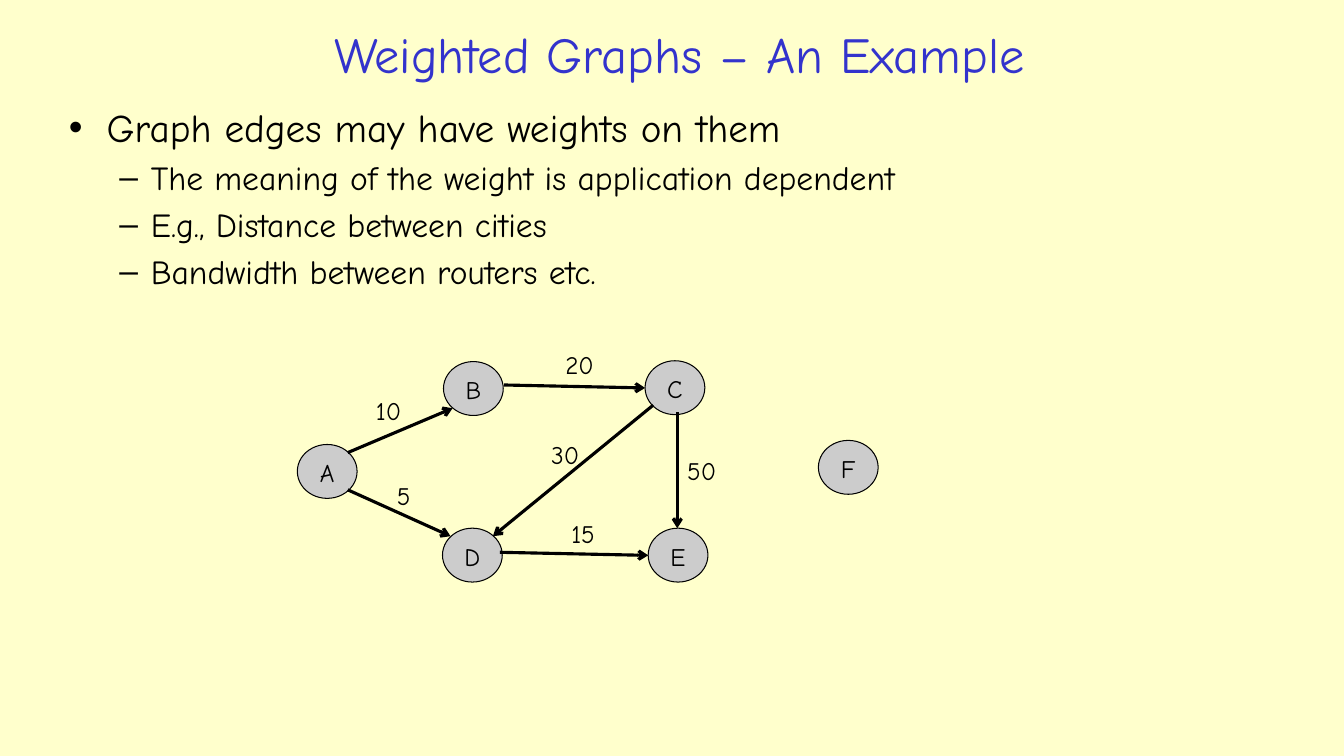
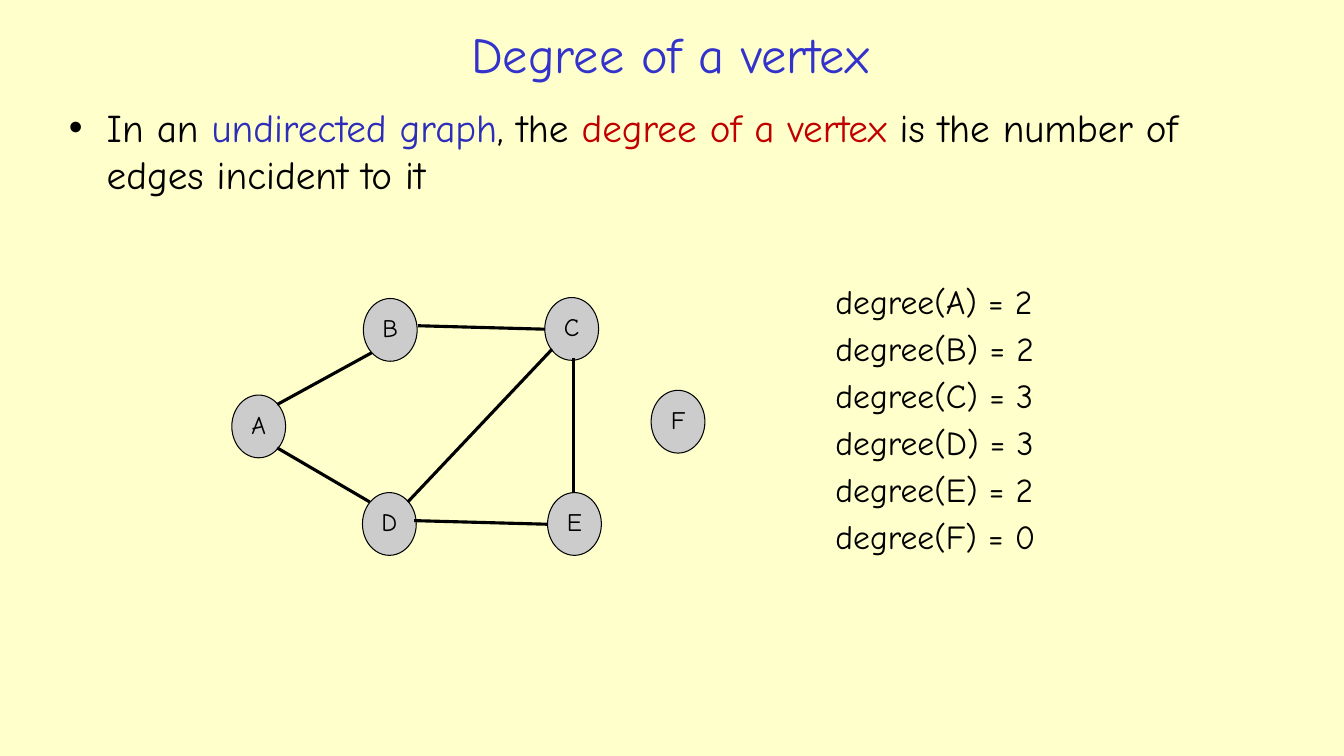
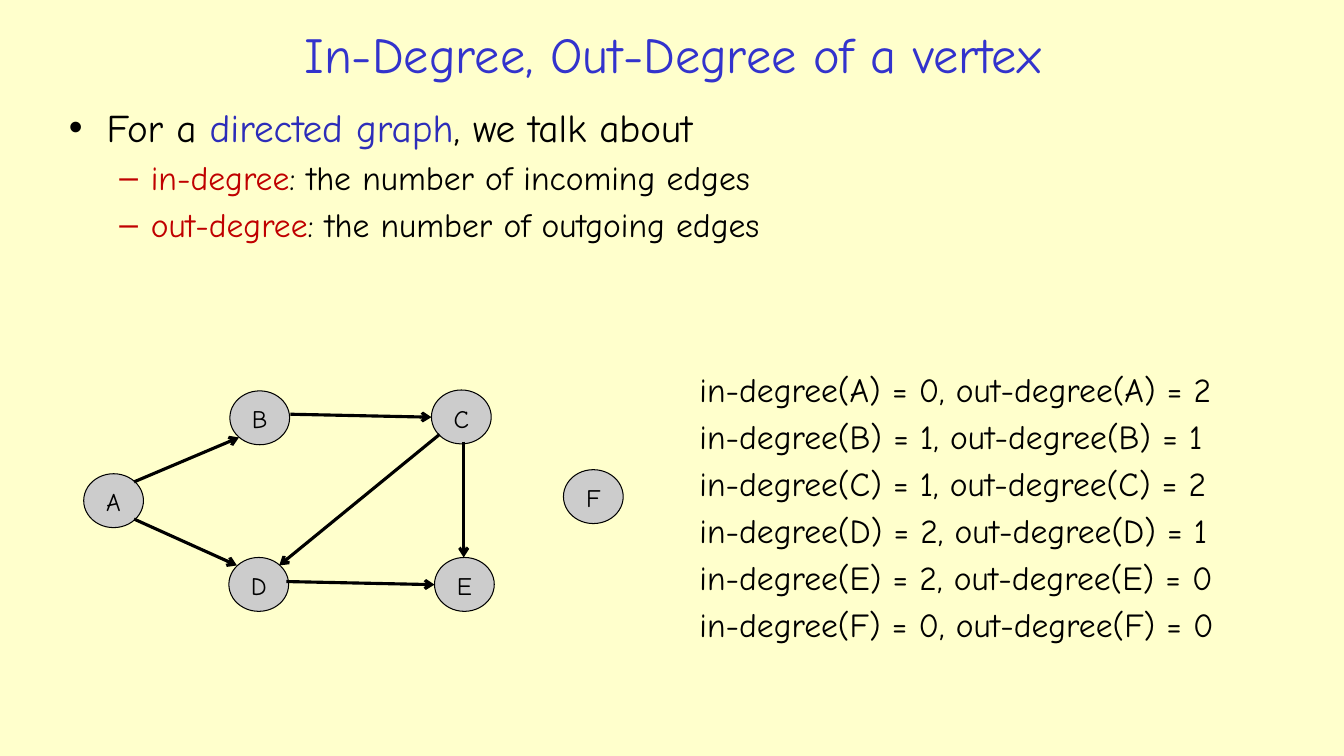
import lxml.etree
import pptx
import pptx.dml.color
import pptx.enum.shapes
import pptx.enum.text
import pptx.oxml.ns
import pptx.util

Pt = pptx.util.Pt
RGBColor = pptx.dml.color.RGBColor

# Palette and type
CREAM = RGBColor(0xFF, 0xFF, 0xCC)
BLACK = RGBColor(0x00, 0x00, 0x00)
GRAY = RGBColor(0xCC, 0xCC, 0xCC)
TITLE_BLUE = RGBColor(0x33, 0x33, 0xCC)
TERM_BLUE = RGBColor(0x2D, 0x2D, 0xB9)
TERM_RED = RGBColor(0xC0, 0x00, 0x00)
FONT = "Comic Neue"
BODY_SIZES = (28, 24)

# Example graph, in points from the top left corner of vertex A
NODE_SIZE = (42.7, 38.5)
NODES = {
    "A": (0, 0),
    "B": (104.4, -59.2),
    "C": (248.4, -59.8),
    "D": (103.7, 59.8),
    "E": (250.6, 59.8),
}
ISOLATED_TOP = -2.9
EDGES = [
    ((36, 5.8), (110.9, -25.9)),        # A to B
    ((147.6, -42.5), (248.4, -40.4)),   # B to C
    ((271.4, -23), (271.4, 59.8)),      # C to E
    ((36, 32.4), (109.4, 65.5)),        # A to D
    ((144.7, 77), (250.6, 79.2)),       # D to E
    ((254.2, -28.1), (139.7, 65.5)),    # C to D
]
WEIGHTS = [
    ("10", 49, -38.9, 33.8),
    ("20", 184.3, -71.3, 36.7),
    ("5", 64.1, 22.3, 25.9),
    ("30", 174.2, -7.2, 36.7),
    ("50", 271.4, 4.3, 36.7),
    ("15", 188.6, 49, 33.8),
]


class GraphDeck:
    """Holds the shared style and the current slide."""

    def __init__(self):
        self.deck = pptx.Presentation()
        self.deck.slide_width = Pt(960)
        self.deck.slide_height = Pt(540)
        background = self.deck.slide_master.background.fill
        background.solid()
        background.fore_color.rgb = CREAM
        self.page = None

    def style(self, span, size, color=BLACK):
        span.font.name = FONT
        span.font.size = Pt(size)
        span.font.color.rgb = color

    def place(self, box, left, top, width, height):
        box.left, box.top = Pt(left), Pt(top)
        box.width, box.height = Pt(width), Pt(height)

    def new_page(self, title, left=42, width=877):
        self.page = self.deck.slides.add_slide(self.deck.slide_layouts[1])
        box = self.page.shapes.title
        self.place(box, left, 10.8, width, 54.7)
        box.text_frame.text = title
        box.text_frame.auto_size = pptx.enum.text.MSO_AUTO_SIZE.NONE
        self.style(box.text_frame.paragraphs[0].runs[0], 36, TITLE_BLUE)

    def bullets(self, height, items):
        """Each item is a level and a list of (text, colour) spans."""
        box = self.page.placeholders[1]
        self.place(box, 42, 70, 877, height)
        frame = box.text_frame
        frame.auto_size = pptx.enum.text.MSO_AUTO_SIZE.NONE
        for index, (level, spans) in enumerate(items):
            para = frame.add_paragraph() if index else frame.paragraphs[0]
            para.level = level
            for text, color in spans:
                span = para.add_run()
                span.text = text
                self.style(span, BODY_SIZES[level], color)

    def text_box(self, lines, left, top, width, height, size, wrap=True):
        box = self.page.shapes.add_textbox(Pt(left), Pt(top), Pt(width), Pt(height))
        frame = box.text_frame
        frame.word_wrap = wrap
        frame.text = "\n".join(lines)
        for index, para in enumerate(frame.paragraphs):
            if index:
                para.space_before = Pt(size * 0.2)
            self.style(para.runs[0], size)

    def node(self, name, left, top, width, height):
        circle = self.page.shapes.add_shape(
            pptx.enum.shapes.MSO_SHAPE.OVAL, Pt(left), Pt(top), Pt(width), Pt(height))
        circle.shadow.inherit = False
        circle.fill.solid()
        circle.fill.fore_color.rgb = GRAY
        circle.line.color.rgb = BLACK
        circle.line.width = Pt(0.75)
        frame = circle.text_frame
        frame.vertical_anchor = pptx.enum.text.MSO_ANCHOR.TOP
        frame.text = name
        frame.paragraphs[0].alignment = pptx.enum.text.PP_ALIGN.CENTER
        self.style(frame.paragraphs[0].runs[0], 18)

    def edge(self, start, end, directed):
        edge = self.page.shapes.add_connector(
            pptx.enum.shapes.MSO_CONNECTOR.STRAIGHT, *map(Pt, start + end))
        edge.line.color.rgb = BLACK
        edge.line.width = Pt(2.25)
        qn = pptx.oxml.ns.qn
        properties = edge._element.spPr
        if directed:
            line = properties.find(qn("a:ln"))
            lxml.etree.SubElement(line, qn("a:tailEnd"), type="arrow")
        lxml.etree.SubElement(properties, qn("a:effectLst"))

    def graph(self, left, top, isolated_left, scale=(1, 1), directed=True, weights=()):
        """Draw the example graph with vertex A at (left, top)."""
        def spot(point):
            return left + point[0] * scale[0], top + point[1] * scale[1]

        size = (NODE_SIZE[0] * scale[0], NODE_SIZE[1] * scale[1])
        for name, point in NODES.items():
            self.node(name, *spot(point), *size)
        self.node("F", isolated_left, top + ISOLATED_TOP * scale[1], *size)
        for start, end in EDGES:
            self.edge(spot(start), spot(end), directed)
        for text, x, y, width in weights:
            self.text_box([text], *spot((x, y)), width, 28.8, 18, wrap=False)


def main():
    show = GraphDeck()

    # Weighted graph
    show.new_page("Weighted Graphs – An Example", 141.8, 687)
    show.bullets(151, [
        (0, [("Graph edges may have weights on them", BLACK)]),
        (1, [("The meaning of the weight is application dependent", BLACK)]),
        (1, [("E.g., Distance between cities", BLACK)]),
        (1, [("Bandwidth between routers etc.", BLACK)]),
    ])
    show.graph(212.4, 317.5, 584.6, weights=WEIGHTS)

    # Degrees in an undirected graph
    show.new_page("Degree of a vertex", 25.2, 907)
    show.bullets(91, [
        (0, [("In an ", BLACK), ("undirected graph", TERM_BLUE), (", the ", BLACK),
             ("degree of a vertex ", TERM_RED),
             ("is the number of edges incident to it", BLACK)]),
    ])
    show.graph(165.6, 282.2, 465.1, scale=(0.9, 1.165), directed=False)
    degrees = {"A": 2, "B": 2, "C": 3, "D": 3, "E": 2, "F": 0}
    show.text_box([f"degree({name}) = {count}" for name, count in degrees.items()],
                  589.7, 197.3, 177, 216, 24)

    # Degrees in a directed graph
    show.new_page("In-Degree, Out-Degree of a vertex")
    show.bullets(122, [
        (0, [("For a ", BLACK), ("directed graph", TERM_BLUE), (", we talk about", BLACK)]),
        (1, [("in-degree", TERM_RED), (": the number of incoming edges", BLACK)]),
        (1, [("out-degree", TERM_RED), (": the number of outgoing edges", BLACK)]),
    ])
    show.graph(59.8, 338.4, 402.5)
    in_out = {"A": (0, 2), "B": (1, 1), "C": (1, 2), "D": (2, 1), "E": (2, 0), "F": (0, 0)}
    show.text_box([f"in-degree({name}) = {into}, out-degree({name}) = {out}"
                   for name, (into, out) in in_out.items()],
                  492.5, 260, 420, 222, 24)

    show.deck.save("out.pptx")


if __name__ == "__main__":
    main()
